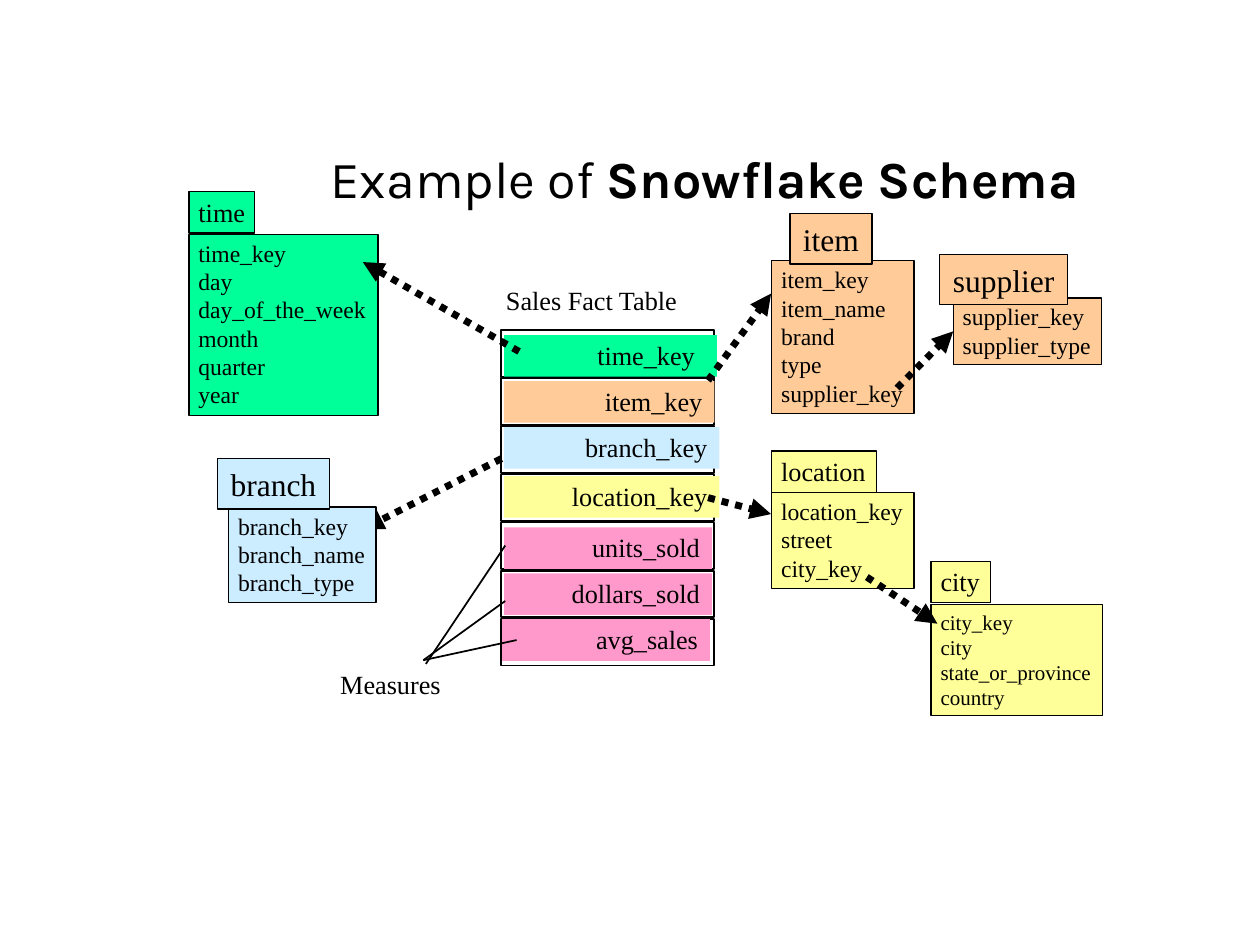
import pptx
import pptx.util
import pptx.dml.color
import pptx.enum.dml
import pptx.enum.shapes
import pptx.enum.text
import pptx.oxml.ns
from lxml import etree

# Grid of 100 columns by 75 rows; all lengths below are in its cells
COLS = 100
WIDTH, HEIGHT = pptx.util.Inches(10), pptx.util.Inches(7.5)
CELL = WIDTH / COLS

GREEN, ORANGE, BLUE = "00FF99", "FFCC99", "CCECFF"
YELLOW, PINK, BLACK = "FFFF99", "FF99CC", "000000"
SERIF = "Times New Roman"
ALIGN = pptx.enum.text.PP_ALIGN
ANCHOR = pptx.enum.text.MSO_ANCHOR
FIT = pptx.enum.text.MSO_AUTO_SIZE
SMALL_INSETS = (0.75, 0.35, 0.2, 0.35)
WIDE_INSETS = (1, 0.5, 1, 0.5)
HEAD_INSETS = (0.5, 0.5, 0.5, 0.5)

# Tables: fill, head (text, box, size), fields (texts, box, size)
FIRST_TABLES = [
    (GREEN, ("time", (15, 15.2, 5.2, 3.3), 15),
     (["time_key", "day", "day_of_the_week", "month", "quarter", "year"],
      (15, 18.6, 15, 14.4), 13.5)),
    (YELLOW, ("location", (61.25, 35.8, 8.3, 3.3), 15),
     (["location_key", "street", "city_key"],
      (61.25, 39.1, 11.3, 7.6), 13.5)),
]
LAST_TABLES = [
    (ORANGE, ("item", (62.7, 16.95, 6.5, 4), 18),
     (["item_key", "item_name", "brand", "type", "supplier_key"],
      (61.25, 20.7, 11.3, 12.1), 13.5)),
    (BLUE, ("branch", (17.25, 36.4, 8.9, 4), 18),
     (["branch_key", "branch_name", "branch_type"],
      (18.15, 40.25, 11.7, 7.6), 13.5)),
    (YELLOW, ("city", (73.9, 44.55, 4.7, 3.3), 15),
     (["city_key", "city", "state_or_province", "country"],
      (73.9, 48, 13.6, 8.8), 12)),
    (ORANGE, ("supplier", (74.55, 20.2, 10.2, 4), 18),
     (["supplier_key", "supplier_type"],
      (75.65, 23.65, 11.8, 5.3), 13.5)),
]

# Fact table rows: text, fill, left, top, width, right inset
FACT_LEFT, FACT_TOP, FACT_WIDTH = 39.75, 26.2, 16.9
ROW_PITCH, ROW_HEIGHT, LABEL_HEIGHT = 3.82, 3.7, 3.3
FACT_ROWS = [
    ("time_key", GREEN, 40, 26.6, 16.9, 1.75),
    ("item_key", ORANGE, 40, 30.25, 16.7, 0.95),
    ("branch_key", BLUE, 40, 33.9, 17.1, 0.95),
    ("location_key", YELLOW, 40, 37.8, 17.1, 0.95),
    ("units_sold", PINK, 40, 41.85, 16.5, 0.95),
    ("dollars_sold", PINK, 40, 45.5, 16.5, 0.95),
    ("avg_sales", PINK, 39.85, 49.15, 16.5, 0.95),
]

MEASURE_LINES = [
    (33.8, 52.7, 40.1, 43.3),
    (33.6, 52.4, 40.1, 47.7),
    (33.6, 52.4, 41, 50.8),
]
KEY_ARROWS = [
    (39.8, 36.4, 28.8, 42),
    (41.2, 27.9, 28.8, 20.8),
    (56.2, 39.5, 61.2, 40.8),
    (56.2, 30.2, 61.2, 23.3),
]
SUPPLIER_ARROW = (71.2, 30.8, 75.6, 26.4)
CITY_ARROW = (68.8, 45.8, 74.4, 49.5)


def color(hex_code):
    return pptx.dml.color.RGBColor.from_string(hex_code)


def grid(*cells):
    return [round(c * CELL) for c in cells]


def set_attrs(obj, formats):
    for name, value in formats.items():
        setattr(obj, name, value)


def write(sp, lines, size, insets=SMALL_INSETS, align=ALIGN.LEFT,
          anchor=ANCHOR.TOP, wrap=False, fit=FIT.SHAPE_TO_FIT_TEXT,
          spacing=None):
    """Each line is a list of (text, formats) runs."""
    tf = sp.text_frame
    left, top, right, bottom = grid(*insets)
    set_attrs(tf, {"margin_left": left, "margin_top": top,
                   "margin_right": right, "margin_bottom": bottom,
                   "vertical_anchor": anchor, "word_wrap": wrap,
                   "auto_size": fit})
    for i, runs in enumerate(lines):
        p = tf.add_paragraph() if i else tf.paragraphs[0]
        set_attrs(p, {"alignment": align, "line_spacing": spacing})
        for text, formats in runs:
            r = p.add_run()
            r.text = text
            set_attrs(r.font, {"name": SERIF, "size": pptx.util.Pt(size),
                               **formats})
            r.font.color.rgb = color(BLACK)


def add_rect(shapes, box, fill=None, line_width=None):
    sp = shapes.add_shape(pptx.enum.shapes.MSO_SHAPE.RECTANGLE, *grid(*box))
    sp.shadow.inherit = False
    if fill:
        sp.fill.solid()
        sp.fill.fore_color.rgb = color(fill)
    else:
        sp.fill.background()
    if line_width:
        sp.line.color.rgb = color(BLACK)
        sp.line.width = pptx.util.Pt(line_width)
    else:
        sp.line.fill.background()
    return sp


def add_text(s, box, runs, size, **options):
    write(s.shapes.add_textbox(*grid(*box)), [runs], size, **options)


def add_table_card(s, fill, head, fields):
    """Group a field list with its head; return the field list."""
    group = s.shapes.add_group_shape()
    names, box, size = fields
    body = add_rect(group.shapes, box, fill, 0.75)
    write(body, [[(name, {})] for name in names], size)
    title, box, size = head
    sp = add_rect(group.shapes, box, fill, 0.75)
    style = {}
    if size == 18:
        style = {"insets": HEAD_INSETS, "align": ALIGN.CENTER,
                 "anchor": ANCHOR.MIDDLE}
    write(sp, [[(title, {})]], size, **style)
    return body


def add_line(s, ends, width=1, arrow=False):
    straight = pptx.enum.shapes.MSO_CONNECTOR.STRAIGHT
    cxn = s.shapes.add_connector(straight, *grid(*ends))
    cxn.line.color.rgb = color(BLACK)
    cxn.line.width = pptx.util.Pt(width)
    qn = pptx.oxml.ns.qn
    if arrow:
        cxn.line.dash_style = pptx.enum.dml.MSO_LINE.ROUND_DOT
        ln = cxn.line._get_or_add_ln()
        etree.SubElement(ln, qn("a:tailEnd"), type="triangle")
    etree.SubElement(cxn._element.spPr, qn("a:effectLst"))
    return cxn


def add_fact_table(s):
    for i, (text, fill, left, top, width, inset) in enumerate(FACT_ROWS):
        row_top = FACT_TOP + i * ROW_PITCH
        add_rect(s.shapes, (FACT_LEFT, row_top, FACT_WIDTH, ROW_HEIGHT),
                 line_width=1)
        label = add_rect(s.shapes, (left, top, width, LABEL_HEIGHT), fill)
        write(label, [[(text, {})]], 15, insets=(0.75, 0.35, inset, 0.35),
              align=ALIGN.RIGHT, wrap=True)


def main():
    prs = pptx.Presentation()
    set_attrs(prs, {"slide_width": WIDTH, "slide_height": HEIGHT})
    s = prs.slides.add_slide(prs.slide_layouts[6])

    # Title
    add_text(s, (25.25, 12.4, 63.8, 4.1),
             [("Example of ", {"name": "Karla"}),
              ("Snowflake Schema", {"name": "Karla", "bold": True})],
             29.7, insets=WIDE_INSETS, anchor=ANCHOR.MIDDLE, wrap=True,
             fit=FIT.NONE, spacing=0.9)

    # Tables under the arrows, and the fact table
    for table in FIRST_TABLES:
        add_table_card(s, *table)
    add_text(s, (39.4, 22.2, 15.2, 3.3), [("Sales Fact Table", {})], 15)
    add_fact_table(s)

    # Measures
    add_text(s, (26.25, 52.7, 10, 3.3), [("Measures", {})], 15, wrap=True)
    for ends in MEASURE_LINES:
        add_line(s, ends)

    # Key arrows, and the tables over them
    for ends in KEY_ARROWS:
        add_line(s, ends, 4, arrow=True)
    for table in LAST_TABLES:
        body = add_table_card(s, *table)
    add_line(s, SUPPLIER_ARROW, 4, arrow=True).end_connect(body, 1)
    add_line(s, CITY_ARROW, 4, arrow=True)

    prs.save("out.pptx")


if __name__ == "__main__":
    main()
